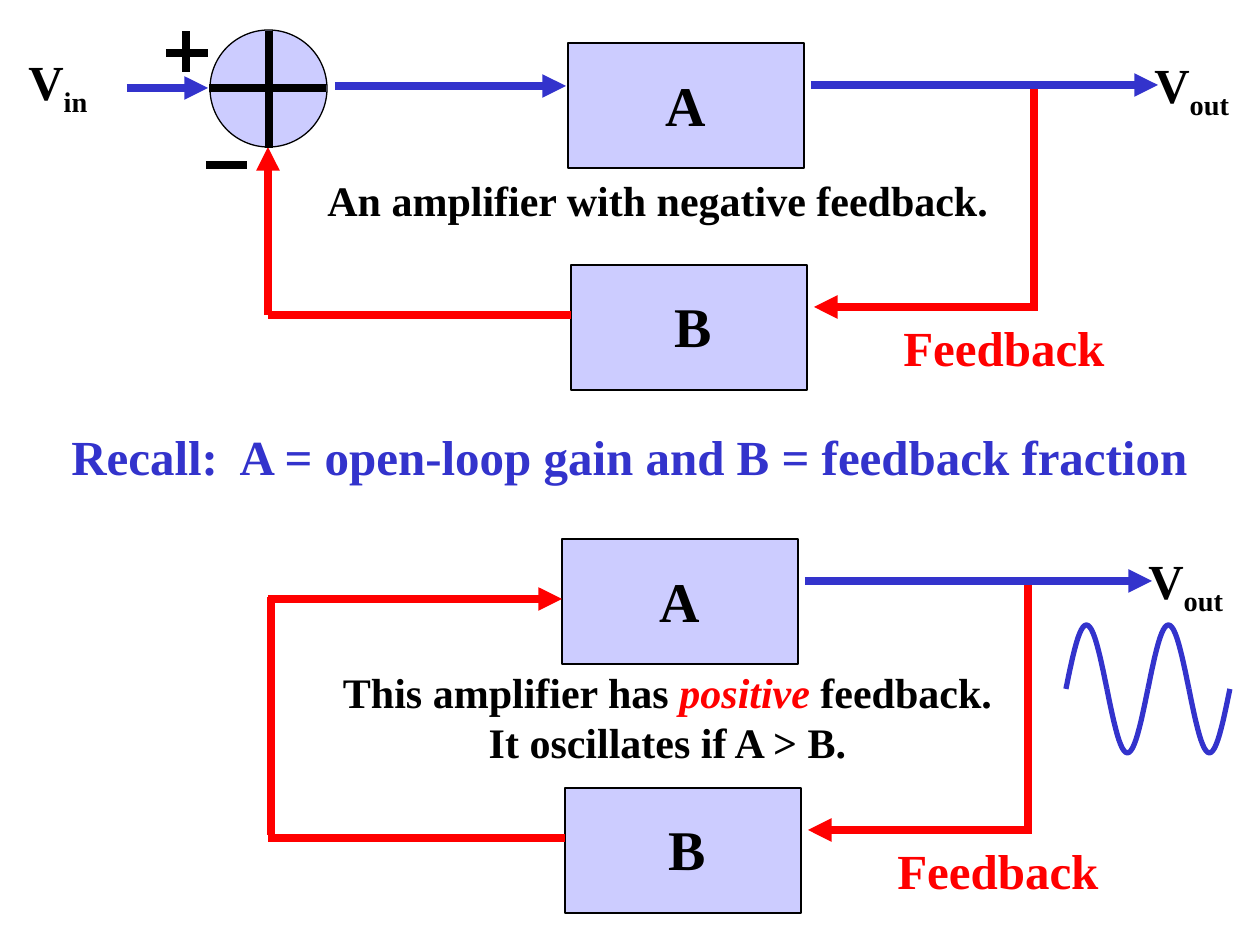
import math

from lxml import etree
from pptx import Presentation
from pptx import util as u
from pptx.dml.color import RGBColor
from pptx.enum import shapes, text
from pptx.oxml import ns

PX = u.Inches(1) // 126
COLORS = {"ink": "000000", "signal": "3333CC", "feedback": "FF0000", "block": "CCCCFF"}


def rgb(name):
    return RGBColor.from_string(COLORS[name])


class Diagram:
    font = "Times New Roman"
    line_width = 4.5

    def __init__(self, slide):
        self.slide = slide

    def block(self, kind, left, top, width, height):
        shape = self.slide.shapes.add_shape(
            kind, left * PX, top * PX, width * PX, height * PX)
        shape.shadow.inherit = False
        shape.fill.solid()
        shape.fill.fore_color.rgb = rgb("block")
        shape.line.color.rgb = rgb("ink")
        shape.line.width = u.Pt(0.75)

    def wire(self, start, end, color, arrow=False):
        wire = self.slide.shapes.add_connector(
            shapes.MSO_CONNECTOR.STRAIGHT, *(v * PX for v in start + end))
        wire.line.color.rgb = rgb(color)
        wire.line.width = u.Pt(self.line_width)
        properties = wire._element.spPr
        if arrow:
            etree.SubElement(properties.find(ns.qn("a:ln")), ns.qn("a:tailEnd"), type="triangle")
        etree.SubElement(properties, ns.qn("a:effectLst"))

    def label(self, left, top, width, height, lines, size, color="ink", align=None):
        box = self.slide.shapes.add_textbox(left * PX, top * PX, width * PX, height * PX)
        frame = box.text_frame
        frame.word_wrap = False
        frame.auto_size = text.MSO_AUTO_SIZE.SHAPE_TO_FIT_TEXT
        for index, line in enumerate(lines):
            paragraph = frame.add_paragraph() if index else frame.paragraphs[0]
            paragraph.alignment = align
            for words in line:
                run = paragraph.add_run()
                run.text = words
                run.font.name = self.font
                run.font.size = u.Pt(size)
                run.font.bold = True
                run.font.color.rgb = rgb(color)
        return frame

    def voltage(self, left, top, width, subscript):
        frame = self.label(left, top, width, 79, [["V", subscript]], 28)
        frame.paragraphs[0].runs[1]._r.get_or_add_rPr().set("baseline", "-25000")

    def half_wave(self, left, middle, width, height):
        steps = 24
        points = [(PX * (left + width * i / steps),
                   PX * (middle - height * math.sin(math.pi * i / steps)))
                  for i in range(steps + 1)]
        builder = self.slide.shapes.build_freeform(*points[0])
        builder.add_line_segments(points[1:], close=False)
        wave = builder.convert_to_shape()
        wave.shadow.inherit = False
        wave.fill.background()
        wave.line.color.rgb = rgb("signal")
        wave.line.width = u.Pt(3)

    def amplifier(self, left, gain_top, fraction_top):
        output, fed_back = gain_top + 42, fraction_top + 42
        self.wire((left + 466, fraction_top + 45), (left + 466, output), "feedback")
        self.block(shapes.MSO_SHAPE.RECTANGLE, left, gain_top, 236, 125)
        self.block(shapes.MSO_SHAPE.RECTANGLE, left + 3, fraction_top, 236, 125)
        self.label(left + 85, gain_top + 21, 66, 81, [["A"]], 32)
        self.label(left + 94, fraction_top + 20, 62, 81, [["B"]], 32)
        self.wire((left + 243, output), (left + 590, output), "signal", arrow=True)
        self.voltage(left + 574, gain_top + 5, 100, "out")
        self.wire((left + 470, fed_back), (left + 246, fed_back), "feedback", arrow=True)
        self.wire((left + 3, fraction_top + 50), (268, fraction_top + 50), "feedback")
        self.label(left + 323, fraction_top + 46, 226, 72, [["Feedback"]], 28, "feedback")


def main():
    deck = Presentation()
    deck.slide_width, deck.slide_height = u.Inches(10), u.Inches(7.5)
    diagram = Diagram(deck.slides.add_slide(deck.slide_layouts[6]))

    diagram.amplifier(568, 43, 265)
    diagram.block(shapes.MSO_SHAPE.OVAL, 210, 30, 117, 117)
    diagram.voltage(16, 45, 84, "in")
    diagram.wire((127, 88), (208, 88), "signal", arrow=True)
    diagram.wire((335, 86), (566, 86), "signal", arrow=True)
    diagram.wire((268, 315), (268, 147), "feedback", arrow=True)
    summing_marks = [
        ((206, 165), (247, 165)),
        ((166, 53), (208, 53)),
        ((186, 72), (186, 31)),
        ((269, 148), (269, 31)),
        ((326, 88), (209, 88)),
    ]
    for start, end in summing_marks:
        diagram.wire(start, end, "ink")
    diagram.label(315, 168, 687, 63, [["An amplifier with negative feedback."]], 24)

    diagram.label(59, 420, 1147, 72,
                  [["Recall:  A = open-loop gain and B = feedback fraction"]], 28, "signal")

    diagram.amplifier(562, 539, 788)
    diagram.wire((271, 835), (271, 597), "feedback")
    diagram.wire((268, 599), (562, 599), "feedback", arrow=True)
    caption = diagram.label(
        330, 660, 675, 113,
        [["This amplifier has ", "positive", " feedback."], ["It oscillates if A > B."]],
        24, align=text.PP_ALIGN.CENTER)
    emphasis = caption.paragraphs[0].runs[1].font
    emphasis.italic = True
    emphasis.color.rgb = rgb("feedback")
    for index in range(4):
        diagram.half_wave(1066 + 41 * index, 689, 41, 64 * (-1) ** index)

    deck.save("out.pptx")


if __name__ == "__main__":
    main()
